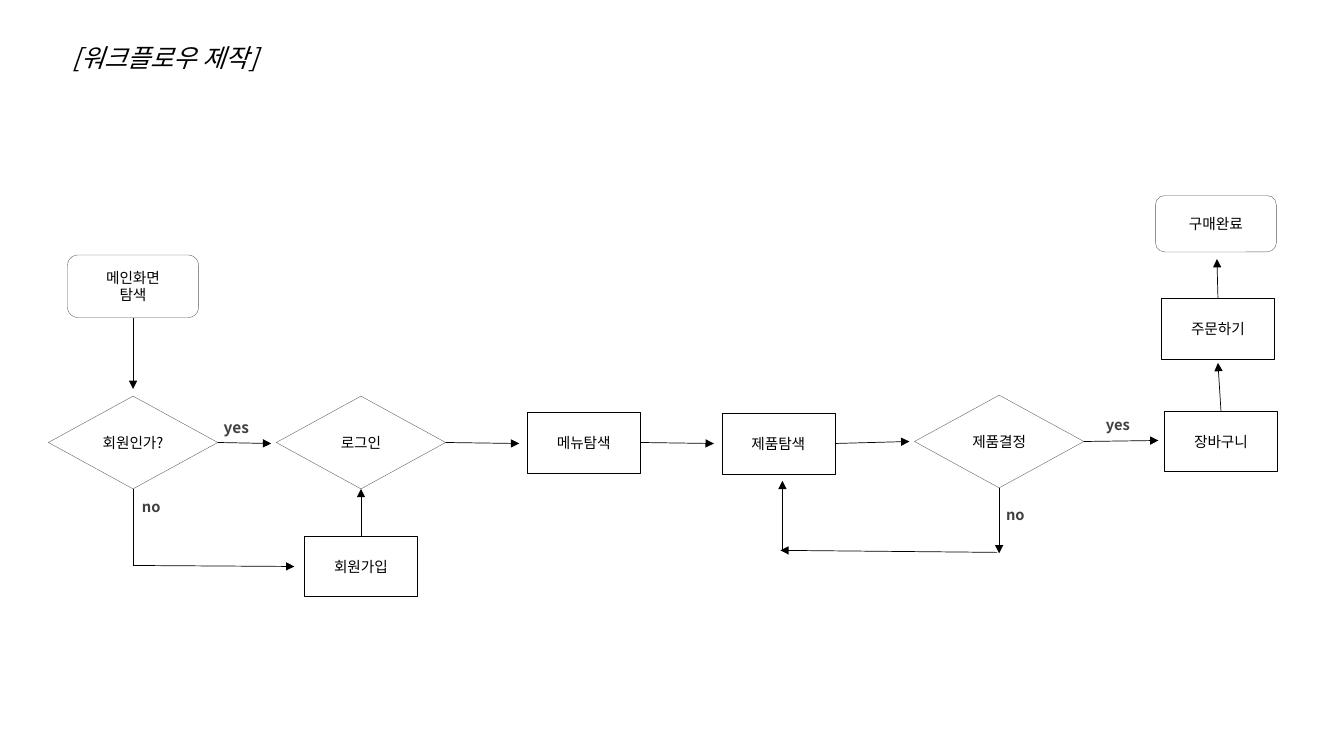
from lxml.etree import SubElement
from pptx import Presentation
from pptx.dml.color import RGBColor
from pptx.enum.shapes import MSO_CONNECTOR, MSO_SHAPE as SHAPE
from pptx.enum.text import MSO_ANCHOR as ANCHOR, PP_ALIGN as ALIGN
from pptx.oxml.ns import qn
from pptx.util import Inches, Pt

BLACK = RGBColor(0x00, 0x00, 0x00)
GRAY = RGBColor(0x59, 0x59, 0x59)
DARK = RGBColor(0x40, 0x40, 0x40)
FONT = "Noto Sans CJK KR"
TOP, LEFT, BOTTOM, RIGHT = range(4)


def write(tf, text, size=10.5, color=BLACK, bold=False, italic=False,
          align=ALIGN.LEFT, anchor=ANCHOR.TOP, spacing=None, wrap=False):
    tf.word_wrap = wrap
    tf.vertical_anchor = anchor
    for i, line in enumerate(text.split("\n")):
        p = tf.add_paragraph() if i else tf.paragraphs[0]
        p.alignment = align
        if spacing:
            p.line_spacing = spacing
        r = p.add_run()
        r.text = line
        f = r.font
        f.name, f.size, f.bold, f.italic = FONT, Pt(size), bold, italic
        f.color.rgb = color
        SubElement(r._r.get_or_add_rPr(), qn("a:ea"), typeface=FONT)


class Flowchart:
    kinds = {
        "process": (SHAPE.RECTANGLE, 1.12, 0.6, BLACK),
        "decision": (SHAPE.DIAMOND, 1.68, 0.92, GRAY),
        "start": (SHAPE.ROUNDED_RECTANGLE, 1.3, 0.62, GRAY),
        "end": (SHAPE.ROUNDED_RECTANGLE, 1.2, 0.56, GRAY),
    }

    def __init__(self, prs):
        self.s = prs.slides.add_slide(prs.slide_layouts[5])

    def title(self, text, x, y, w, h):
        sp = self.s.shapes.title
        sp.left, sp.top, sp.width, sp.height = map(Inches, (x, y, w, h))
        write(sp.text_frame, text, size=18, italic=True, spacing=0.9, wrap=True)

    def node(self, kind, text, x, y):
        preset, w, h, color = self.kinds[kind]
        sp = self.s.shapes.add_shape(preset, *map(Inches, (x, y, w, h)))
        sp.shadow.inherit = False
        sp.fill.background()
        sp.line.color.rgb = color
        sp.line.width = Pt(0.25)
        write(sp.text_frame, text, align=ALIGN.CENTER, anchor=ANCHOR.MIDDLE)
        return sp

    def label(self, text, x, y, w=0.44, size=10.5):
        sp = self.s.shapes.add_textbox(*map(Inches, (x, y, w, 0.28)))
        write(sp.text_frame, text, size=size, color=DARK, bold=True)

    def line(self, start, end, joins=(None, None), arrow=True):
        cx = self.s.shapes.add_connector(MSO_CONNECTOR.STRAIGHT, *map(Inches, start + end))
        cx.line.color.rgb = BLACK
        cx.line.width = Pt(0.5)
        if arrow:
            SubElement(cx.line._get_or_add_ln(), qn("a:tailEnd"), type="triangle")
        SubElement(cx._element.spPr, qn("a:effectLst"))
        for join, connect in zip(joins, (cx.begin_connect, cx.end_connect)):
            if join:
                connect(*join)


def main():
    prs = Presentation()
    prs.slide_width, prs.slide_height = Inches(13.33), Inches(7.5)
    chart = Flowchart(prs)
    chart.title("[워크플로우 제작]", 0.62, 0.4, 2.63, 0.43)

    main_screen = chart.node("start", "메인화면\n탐색", 0.67, 2.53)
    chart.node("end", "구매완료", 11.46, 1.94)
    member = chart.node("decision", "회원인가?", 0.48, 3.93)
    login = chart.node("decision", "로그인", 2.74, 3.93)
    decide = chart.node("decision", "제품결정", 9.07, 3.92)
    sign_up = chart.node("process", "회원가입", 3.02, 5.32)
    menu = chart.node("process", "메뉴탐색", 5.23, 4.09)
    product = chart.node("process", "제품탐색", 7.16, 4.1)
    cart = chart.node("process", "장바구니", 11.55, 4.08)
    order = chart.node("process", "주문하기", 11.52, 2.96)

    chart.label("yes", 2.12, 4.1, w=0.48, size=11)
    chart.label("yes", 10.87, 4.08, w=0.52)
    chart.label("no", 1.31, 4.89)
    chart.label("no", 9.88, 4.97)

    for sp, side, start, end in (
        (main_screen, BOTTOM, (1.32, 3.15), (1.32, 3.86)),
        (member, RIGHT, (2.16, 4.39), (2.69, 4.4)),
        (login, RIGHT, (4.42, 4.39), (5.15, 4.4)),
        (menu, RIGHT, (6.35, 4.39), (7.08, 4.4)),
        (product, RIGHT, (8.28, 4.38), (9.02, 4.38)),
        (decide, RIGHT, (10.75, 4.37), (11.49, 4.37)),
        (cart, TOP, (12.08, 4.08), (12.08, 3.6)),
        (order, TOP, (12.08, 2.96), (12.07, 2.57)),
        (decide, BOTTOM, (9.91, 4.84), (9.91, 5.49)),
    ):
        chart.line(start, end, joins=((sp, side), None))
    chart.line((3.58, 5.32), (3.58, 4.85), joins=((sign_up, TOP), (login, BOTTOM)))
    chart.line((1.32, 4.85), (1.32, 5.62), joins=((member, BOTTOM), None), arrow=False)
    chart.line((1.32, 5.61), (2.92, 5.62))
    chart.line((9.89, 5.48), (7.74, 5.46))
    chart.line((7.76, 5.46), (7.76, 4.77))

    prs.save("out.pptx")


if __name__ == "__main__":
    main()
